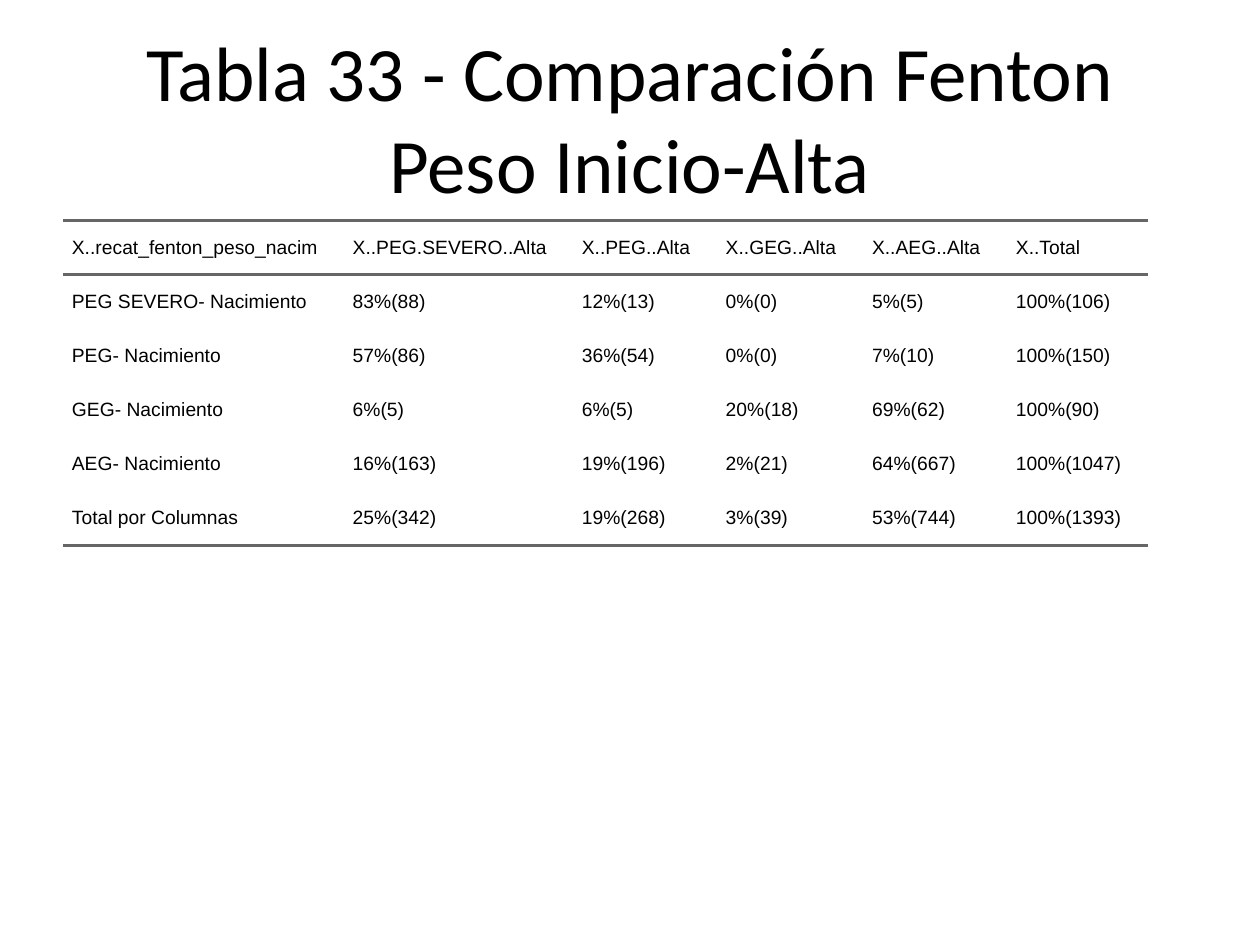
"""Builds a slide with a table comparing Fenton weight categories at birth and at discharge."""
from dataclasses import dataclass

import lxml.etree
import pptx
import pptx.dml.color
import pptx.enum.text
import pptx.oxml.ns
import pptx.util
from pptx.util import Cm

BLACK = pptx.dml.color.RGBColor(0x00, 0x00, 0x00)
RULE_GRAY = pptx.dml.color.RGBColor(0x66, 0x66, 0x66)
RULE_WIDTH = pptx.util.Pt(2)
PLAIN_TABLE_STYLE = "{2D5ABB26-0587-4C30-8999-92F81FD0307C}"
ROW_HEIGHT = Cm(1.09)


@dataclass(frozen=True)
class Column:
    heading: str
    width: float
    values: tuple[str, ...]


COLUMNS = (
    Column("X..recat_fenton_peso_nacim", 5.66,
           ("PEG SEVERO- Nacimiento", "PEG- Nacimiento", "GEG- Nacimiento",
            "AEG- Nacimiento", "Total por Columnas")),
    Column("X..PEG.SEVERO..Alta", 4.62,
           ("83%(88)", "57%(86)", "6%(5)", "16%(163)", "25%(342)")),
    Column("X..PEG..Alta", 2.9,
           ("12%(13)", "36%(54)", "6%(5)", "19%(196)", "19%(268)")),
    Column("X..GEG..Alta", 2.95,
           ("0%(0)", "0%(0)", "20%(18)", "2%(21)", "3%(39)")),
    Column("X..AEG..Alta", 2.9,
           ("5%(5)", "7%(10)", "69%(62)", "64%(667)", "53%(744)")),
    Column("X..Total", 2.84,
           ("100%(106)", "100%(150)", "100%(90)", "100%(1047)", "100%(1393)")),
)


def write_text(frame, text: str, *, font: str, size: float, align=None,
               space: float = 0, indent: int = 0) -> None:
    """Write one formatted paragraph into a text frame."""
    para = frame.paragraphs[0]
    para.alignment = align
    para.space_before = para.space_after = pptx.util.Pt(space)
    if indent:
        properties = para._p.get_or_add_pPr()
        properties.set("marL", str(indent))
        properties.set("indent", "0")
    span = para.add_run()
    span.text = text
    span.font.name = font
    span.font.size = pptx.util.Pt(size)
    span.font.color.rgb = BLACK


def draw_rules(cell, sides: tuple[str, ...]) -> None:
    """Draw gray rules on the given sides of a cell, top before bottom."""
    properties = cell._tc.get_or_add_tcPr()
    for position, side in enumerate(sides):
        line = lxml.etree.Element(pptx.oxml.ns.qn(f"a:ln{side}"), w=str(RULE_WIDTH))
        fill = lxml.etree.SubElement(line, pptx.oxml.ns.qn("a:solidFill"))
        lxml.etree.SubElement(fill, pptx.oxml.ns.qn("a:srgbClr"), val=str(RULE_GRAY))
        properties.insert(position, line)


def fill_cell(cell, text: str, sides: tuple[str, ...]) -> None:
    """Fill one table cell and draw its rules."""
    cell.margin_left = cell.margin_right = cell.margin_top = cell.margin_bottom = 0
    cell.vertical_anchor = pptx.enum.text.MSO_ANCHOR.MIDDLE
    cell.fill.background()
    write_text(cell.text_frame, text, font="Arial", size=11, space=5, indent=Cm(0.18))
    draw_rules(cell, sides)


def add_title(page, text: str) -> None:
    """Place and format the title placeholder."""
    box = page.shapes.title
    box.left, box.top, box.width, box.height = Cm(1.27), Cm(0.76), Cm(22.86), Cm(3.18)
    box.text_frame.word_wrap = True
    box.text_frame.auto_size = pptx.enum.text.MSO_AUTO_SIZE.NONE
    box.text_frame.vertical_anchor = pptx.enum.text.MSO_ANCHOR.MIDDLE
    write_text(box.text_frame, text, font="Calibri", size=44,
               align=pptx.enum.text.PP_ALIGN.CENTER)


def add_comparison(page, columns: tuple[Column, ...]) -> None:
    """Add the table with rules around its heading and below its last row."""
    row_count = len(columns[0].values) + 1
    box = page.shapes.add_table(row_count, len(columns), Cm(1.27), Cm(4.45),
                                Cm(22.86), ROW_HEIGHT * row_count)
    table = box.table
    table.first_row = table.horz_banding = False
    box._element.find(f".//{pptx.oxml.ns.qn('a:tableStyleId')}").text = PLAIN_TABLE_STYLE
    for row in table.rows:
        row.height = ROW_HEIGHT
    rules = {0: ("T", "B"), row_count - 1: ("B",)}
    for column_index, column in enumerate(columns):
        table.columns[column_index].width = Cm(column.width)
        for row_index, text in enumerate((column.heading, *column.values)):
            fill_cell(table.cell(row_index, column_index), text, rules.get(row_index, ()))
    box.width, box.height = Cm(22.86), Cm(12.57)


def main() -> None:
    """Build and save the deck."""
    deck = pptx.Presentation()
    deck.slide_width, deck.slide_height = Cm(25.4), Cm(19.05)
    page = deck.slides.add_slide(deck.slide_layouts.get_by_name("Title Only"))
    add_title(page, "Tabla 33 - Comparación Fenton Peso Inicio-Alta")
    add_comparison(page, COLUMNS)
    deck.save("out.pptx")


main()
